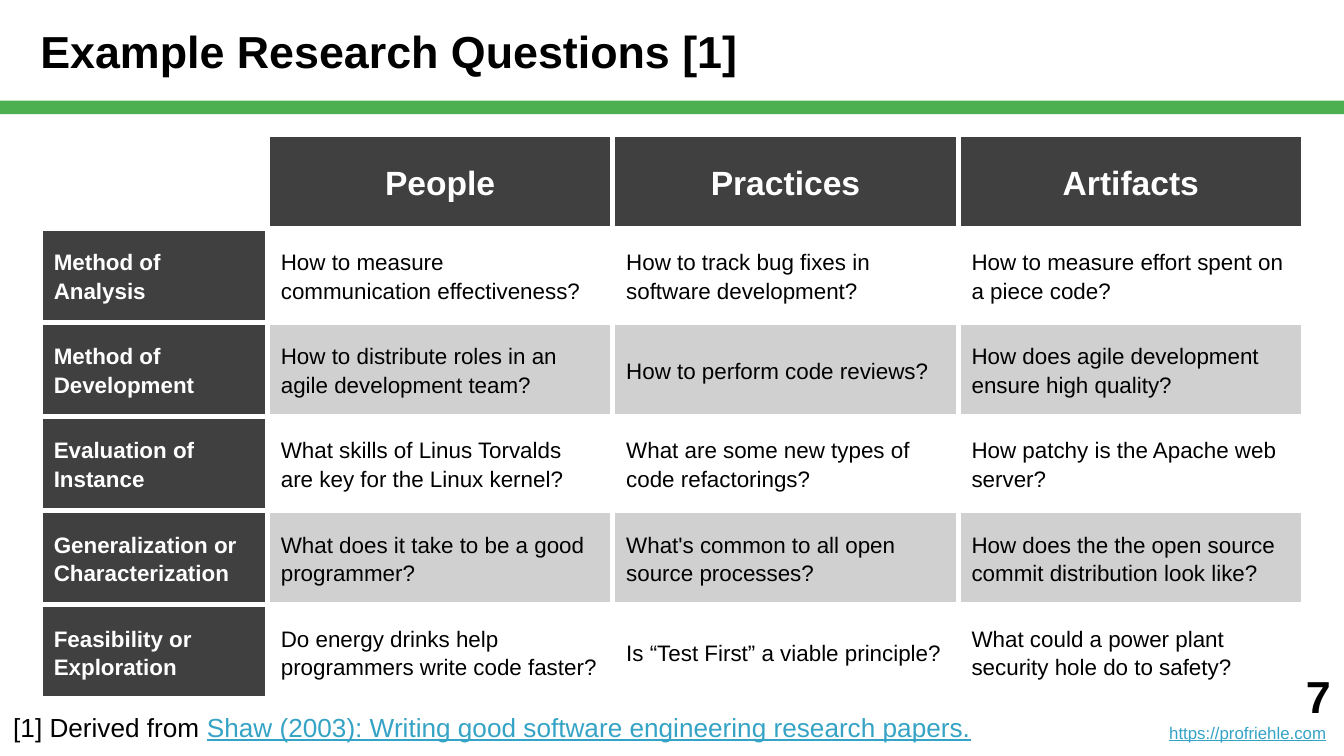
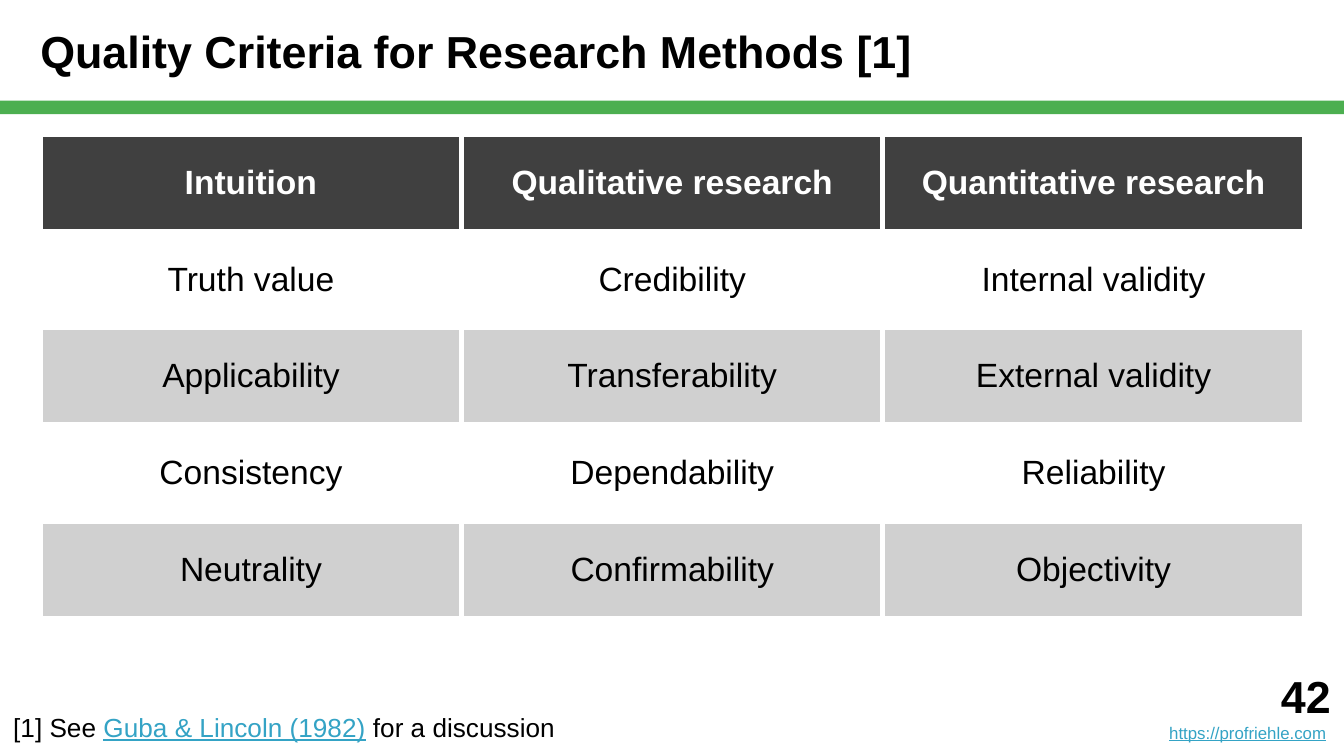
from lxml.etree import SubElement
from pptx import Presentation
from pptx.dml.color import RGBColor
from pptx.enum.shapes import MSO_SHAPE as Shape
from pptx.enum.text import MSO_ANCHOR as Anchor, PP_ALIGN as Align
from pptx.oxml.ns import qn
from pptx.util import Pt

# Content: a run is (text, is_link)
SITE = "https://profriehle.com"
SLIDES = [
    dict(
        title="Example Research Questions [1]",
        number="7",
        columns=[338, 514, 514, 514],
        row_height=140,
        body_size=12,
        body_align=Align.LEFT,
        line_spacing=1.15,
        row_labels=True,
        rows=[
            ["", "People", "Practices", "Artifacts"],
            ["Method of Analysis",
             "How to measure communication effectiveness?",
             "How to track bug fixes in software development?",
             "How to measure effort spent on a piece code?"],
            ["Method of Development",
             "How to distribute roles in an agile development team?",
             "How to perform code reviews?",
             "How does agile development ensure high quality?"],
            ["Evaluation of Instance",
             "What skills of Linus Torvalds are key for the Linux kernel?",
             "What are some new types of code refactorings?",
             "How patchy is the Apache web server?"],
            ["Generalization or Characterization",
             "What does it take to be a good programmer?",
             "What's common to all open source processes?",
             "How does the the open source commit distribution look like?"],
            ["Feasibility or Exploration",
             "Do energy drinks help programmers write code faster?",
             "Is “Test First” a viable principle?",
             "What could a power plant security hole do to safety?"],
        ],
        footnote=[
            ("[1] Derived from ", False),
            ("Shaw (2003): Writing good software engineering research papers.", True),
        ],
    ),
    dict(
        title="Quality Criteria for Research Methods [1]",
        number="42",
        columns=[627] * 3,
        row_height=144,
        body_size=18,
        body_align=Align.CENTER,
        line_spacing=None,
        row_labels=False,
        rows=[
            ["Intuition", "Qualitative research", "Quantitative research"],
            ["Truth value", "Credibility", "Internal validity"],
            ["Applicability", "Transferability", "External validity"],
            ["Consistency", "Dependability", "Reliability"],
            ["Neutrality", "Confirmability", "Objectivity"],
        ],
        footnote=[
            ("[1] See ", False),
            ("Guba & Lincoln (1982)", True),
            (" for a discussion", False),
        ],
    ),
]

# Shared look
FONT = "Arial"
BLACK, WHITE, DARK, GREY = "000000", "FFFFFF", "404040", "D0D0D0"
GREEN, LINK = "4CAF50", "34A3C5"
HEADING_SIZE, HEADER_SIZE, NOTE_SIZE, SITE_SIZE = 24, 18, 14, 9
BORDER_WIDTH = 3

# Layout, at 200 px to the inch
WIDTH, HEIGHT = 2000, 1125
TITLE_HEIGHT, BAR_HEIGHT = 150, 20
MARGIN, PADDING = 60, 20
TABLE_TOP = 200
NOTE_WIDTH, NOTE_HEIGHT = 1600, 200
NUMBER_HEIGHT = 160


def px(length):
    return length * 4572


def rgb(color):
    return RGBColor.from_string(color)


def add_run(paragraph, text, size, color=BLACK, bold=False, underline=False):
    run = paragraph.add_run()
    run.text = text
    font = run.font
    font.name, font.size = FONT, Pt(size)
    font.bold, font.underline = bold, underline
    font.color.rgb = rgb(color)


def add_text_box(slide, left, top, width, height, anchor, indent=PADDING):
    box = slide.shapes.add_textbox(px(left), px(top), px(width), px(height))
    frame = box.text_frame
    frame.word_wrap = True
    frame.vertical_anchor = anchor
    frame.margin_left = px(indent)
    frame.margin_top = frame.margin_right = frame.margin_bottom = px(PADDING)
    return frame


def add_title(slide, title):
    bar = slide.shapes.add_shape(
        Shape.RECTANGLE, 0, px(TITLE_HEIGHT), px(WIDTH), px(BAR_HEIGHT))
    bar.shadow.inherit = False
    bar.fill.solid()
    bar.fill.fore_color.rgb = rgb(GREEN)
    bar.line.fill.background()
    frame = add_text_box(slide, 0, 0, WIDTH, TITLE_HEIGHT, Anchor.MIDDLE, MARGIN)
    add_run(frame.paragraphs[0], title, HEADING_SIZE, bold=True)


def add_page_number(slide, number):
    frame = add_text_box(slide, NOTE_WIDTH, HEIGHT - NUMBER_HEIGHT,
                         WIDTH - NOTE_WIDTH, NUMBER_HEIGHT, Anchor.BOTTOM)
    number_line, site_line = frame.paragraphs[0], frame.add_paragraph()
    number_line.alignment = site_line.alignment = Align.RIGHT
    add_run(number_line, number, HEADING_SIZE, bold=True)
    add_run(site_line, SITE, SITE_SIZE, LINK, underline=True)
    add_run(site_line, " ", SITE_SIZE, DARK)


def add_footnote(slide, runs):
    frame = add_text_box(slide, 0, HEIGHT - NOTE_HEIGHT,
                         NOTE_WIDTH, NOTE_HEIGHT, Anchor.BOTTOM)
    for text, is_link in runs:
        add_run(frame.paragraphs[0], text, NOTE_SIZE,
                LINK if is_link else BLACK, underline=is_link)


def style_cell(cell, fill):
    properties = cell._tc.get_or_add_tcPr()
    for side in ("a:lnL", "a:lnR", "a:lnT", "a:lnB"):
        line = SubElement(properties, qn(side), w=str(Pt(BORDER_WIDTH)))
        solid = SubElement(line, qn("a:solidFill"))
        SubElement(solid, qn("a:srgbClr"), val=WHITE)
    cell.fill.solid()
    cell.fill.fore_color.rgb = rgb(fill)
    cell.vertical_anchor = Anchor.MIDDLE
    cell.margin_left = cell.margin_right = px(PADDING)
    cell.margin_top = cell.margin_bottom = px(PADDING)


def add_grid(slide, content):
    rows, columns = content["rows"], content["columns"]
    row_height = content["row_height"]
    table = slide.shapes.add_table(
        len(rows), len(columns), px(MARGIN), px(TABLE_TOP),
        px(sum(columns)), px(row_height * len(rows))).table
    table.first_row = table.horz_banding = False
    for column, width in zip(table.columns, columns):
        column.width = px(width)

    for row_index, texts in enumerate(rows):
        table.rows[row_index].height = px(row_height)
        is_header = row_index == 0
        band = WHITE if row_index % 2 else GREY
        for column_index, text in enumerate(texts):
            is_label = is_header or (content["row_labels"] and column_index == 0)
            cell = table.cell(row_index, column_index)
            if not text:
                style_cell(cell, WHITE)
                continue
            style_cell(cell, DARK if is_label else band)
            paragraph = cell.text_frame.paragraphs[0]
            paragraph.alignment = Align.CENTER if is_header else content["body_align"]
            paragraph.line_spacing = content["line_spacing"]
            add_run(paragraph, text,
                    HEADER_SIZE if is_header else content["body_size"],
                    WHITE if is_label else BLACK, bold=is_label)


def main():
    presentation = Presentation()
    presentation.slide_width, presentation.slide_height = px(WIDTH), px(HEIGHT)
    for content in SLIDES:
        slide = presentation.slides.add_slide(presentation.slide_layouts[6])
        add_title(slide, content["title"])
        add_page_number(slide, content["number"])
        add_grid(slide, content)
        add_footnote(slide, content["footnote"])
    presentation.save("out.pptx")


if __name__ == "__main__":
    main()
